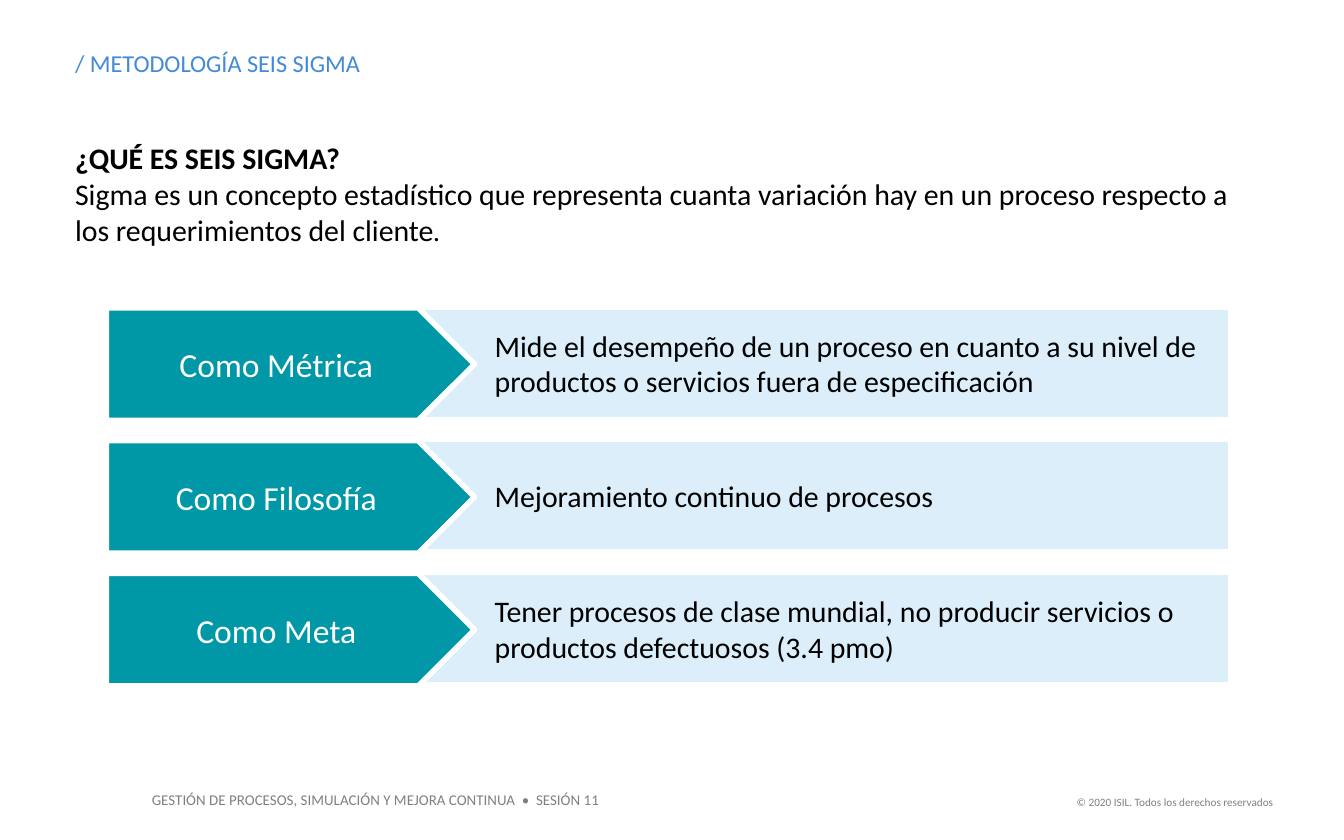
from pptx import Presentation, util as u
from pptx.dml.color import RGBColor
from pptx.enum import shapes, text

ROWS = [
    ("Como Métrica", "Mide el desempeño de un proceso en cuanto a su nivel de "
                     "productos o servicios fuera de especificación"),
    ("Como Filosofía", "Mejoramiento continuo de procesos"),
    ("Como Meta", "Tener procesos de clase mundial, no producir servicios o "
                  "productos defectuosos (3.4 pmo)"),
]


def colour(value):
    return RGBColor.from_string(value)


def add_span(para, words, size=16, color="000000", bold=False, font="Calibri",
             align=text.PP_ALIGN.LEFT):
    para.alignment = align
    span = para.add_run()
    span.text = words
    span.font.name = font
    span.font.size = u.Pt(size)
    span.font.bold = bold
    span.font.color.rgb = colour(color)


class Page:
    TEAL, PALE, WHITE, BLUE, GREY = "0097A7", "DBEEF9", "FFFFFF", "438AD7", "808080"

    def __init__(self, deck):
        self.page = deck.slides.add_slide(deck.slide_layouts[6])

    def text_box(self, left, top, width, height, inset=True):
        box = self.page.shapes.add_textbox(*map(u.Cm, (left, top, width, height)))
        frame = box.text_frame
        frame.word_wrap = True
        if not inset:
            frame.margin_left = frame.margin_right = 0
            frame.margin_top = frame.margin_bottom = 0
        return frame

    def block(self, kind, left, top, width, height, fill):
        shape = self.page.shapes.add_shape(kind, *map(u.Cm, (left, top, width, height)))
        shape.shadow.inherit = False
        shape.fill.solid()
        shape.fill.fore_color.rgb = colour(fill)
        shape.line.color.rgb = colour(self.WHITE)
        shape.line.width = u.Pt(3)
        frame = shape.text_frame
        frame.word_wrap = True
        frame.vertical_anchor = text.MSO_ANCHOR.MIDDLE
        return frame

    def row(self, top, label, detail):
        frame = self.block(shapes.MSO_SHAPE.RECTANGLE, 7.85, top, 15.42, 2.13, self.PALE)
        frame.margin_left = u.Cm(1.5)
        add_span(frame.paragraphs[0], detail)
        frame = self.block(shapes.MSO_SHAPE.PENTAGON, 2.01, top + 0.02, 6.96, 2.13, self.TEAL)
        add_span(frame.paragraphs[0], label, size=18, color=self.WHITE,
                 align=text.PP_ALIGN.CENTER)


def main():
    deck = Presentation()
    deck.slide_width, deck.slide_height = u.Cm(25.4), u.Cm(15.88)
    page = Page(deck)

    # Footer
    footer = page.text_box(2.62, 14.83, 8.97, 0.61)
    add_span(footer.paragraphs[0],
             "GESTIÓN DE PROCESOS, SIMULACIÓN Y MEJORA CONTINUA  •  SESIÓN 11",
             size=8, color=page.GREY)
    rights = page.text_box(20.02, 14.91, 4.29, 0.51)
    add_span(rights.paragraphs[0], "© 2020 ISIL. Todos los derechos reservados",
             size=6, color=page.GREY, align=text.PP_ALIGN.RIGHT)

    # Heading and introduction
    heading = page.text_box(1.42, 0.91, 6.2, 0.56, inset=False)
    add_span(heading.paragraphs[0], "/ METODOLOGÍA SEIS SIGMA", size=13, color=page.BLUE)
    intro = page.text_box(1.42, 2.64, 22.4, 2.06, inset=False)
    add_span(intro.paragraphs[0], "¿QUÉ ES SEIS SIGMA?", bold=True)
    para = intro.add_paragraph()
    add_span(para, "Sigma es un concepto estadístico que representa cuanta variación hay "
                   "en un proceso respecto a los requerimientos del cliente")
    add_span(para, ".", font="Karla")

    # Three views of Six Sigma
    for index, (label, detail) in enumerate(ROWS):
        page.row(5.8 + 2.51 * index, label, detail)

    deck.save("out.pptx")


if __name__ == "__main__":
    main()
